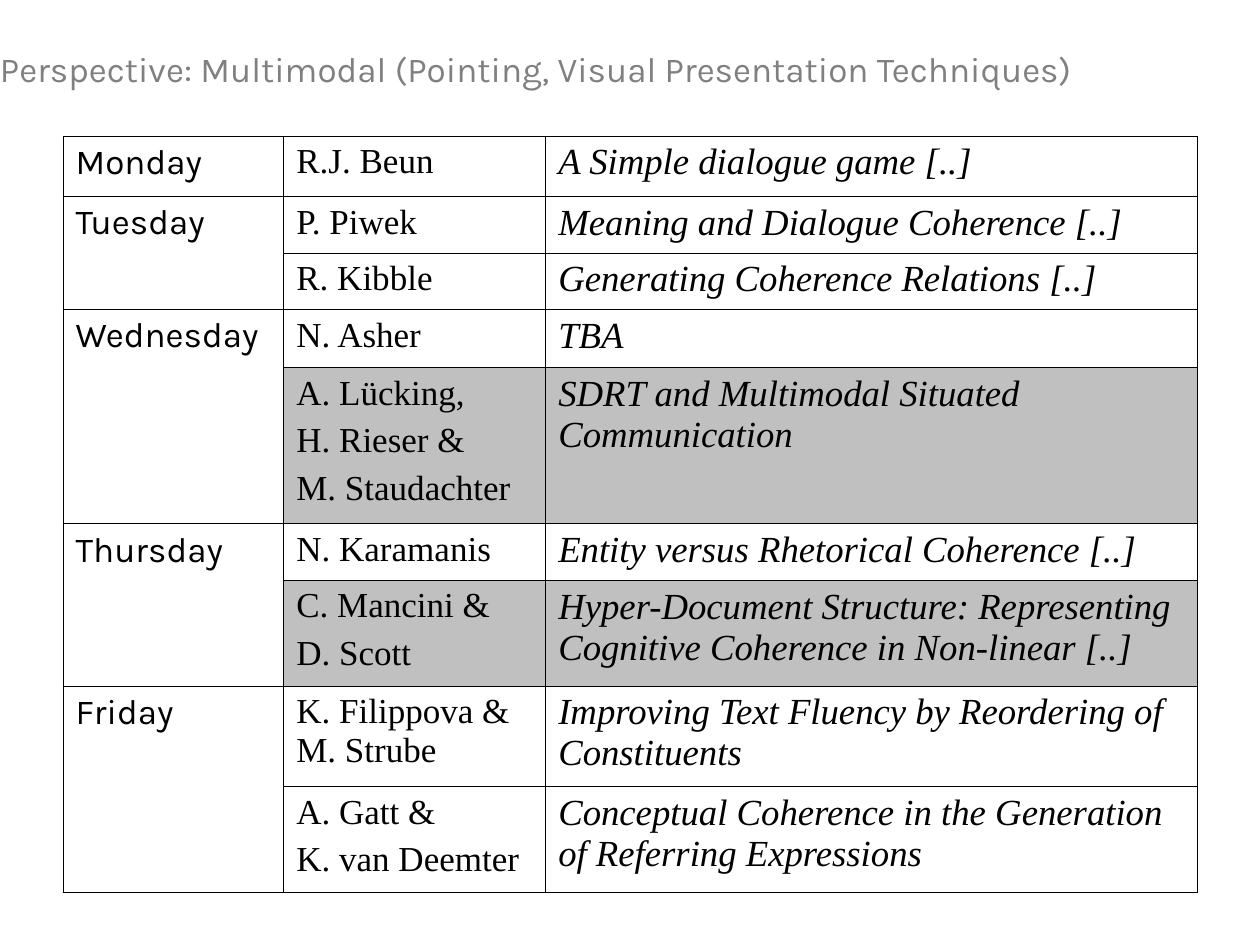
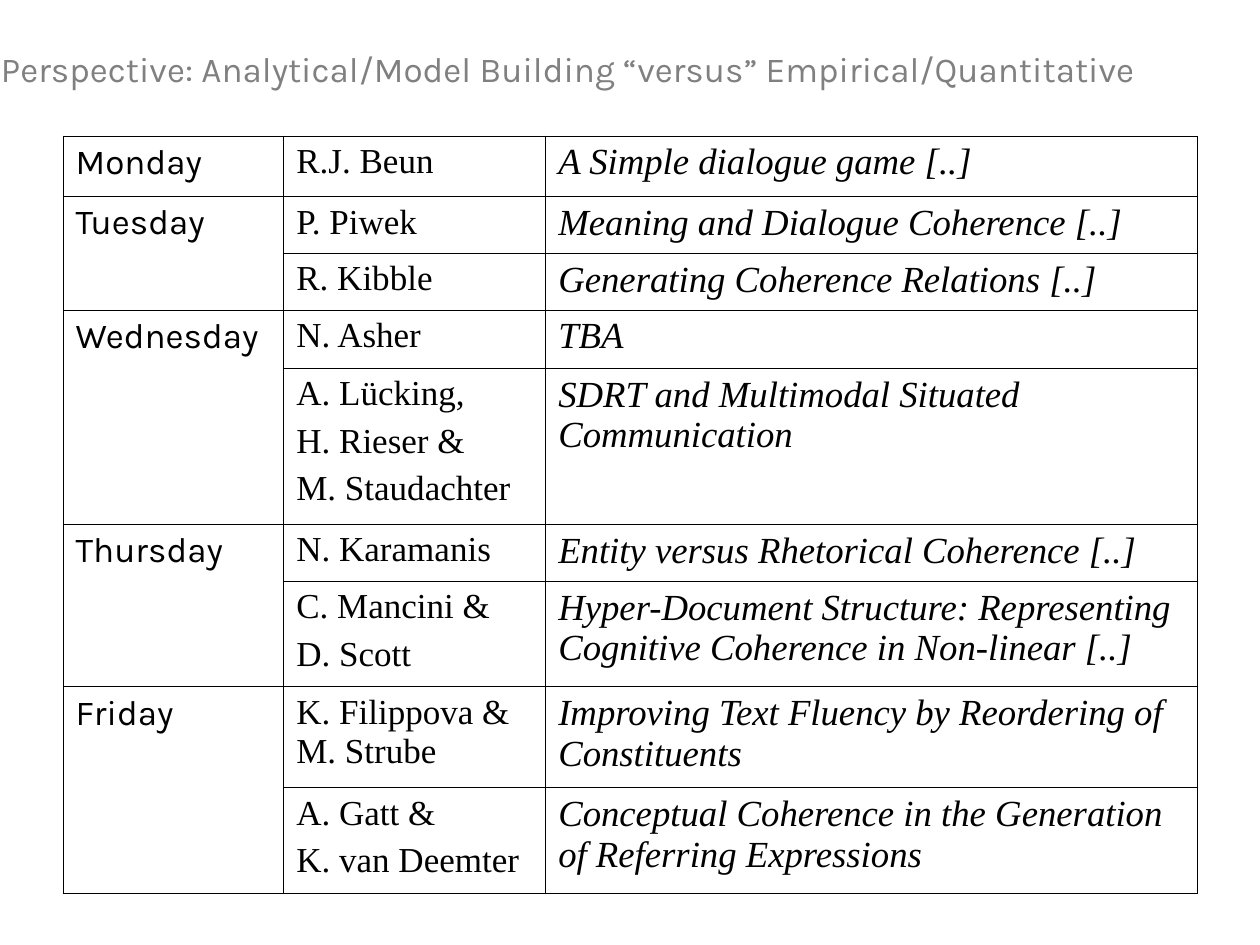
from lxml.etree import SubElement as Sub
from pptx import Presentation
from pptx.dml.color import RGBColor
from pptx.enum.text import MSO_AUTO_SIZE as Auto
from pptx.oxml.ns import qn
from pptx.util import Cm, Pt

# Content: title, its left and width (cm), speakers to shade
SLIDES = [
    ("Perspective: Multimodal (Pointing, Visual Presentation Techniques)",
     -0.25, 22.63, ("A. Lücking,", "C. Mancini &")),
    ("Perspective: Analytical/Model Building “versus” Empirical/Quantitative",
     -0.23, 23.65, ()),
]

# Day, then its talks: row height (cm), speakers by line, topic
DAYS = [
    ("Monday", [
        (1.22, ["R.J. Beun"], "A Simple dialogue game [..]")]),
    ("Tuesday", [
        (1.14, ["P. Piwek"], "Meaning and Dialogue Coherence [..]"),
        (1.14, ["R. Kibble"], "Generating Coherence Relations [..]")]),
    ("Wednesday", [
        (1.17, ["N. Asher"], "TBA"),
        (3.15, ["A. Lücking,", "H. Rieser &", "M. Staudachter"],
         "SDRT and Multimodal Situated Communication")]),
    ("Thursday", [
        (1.14, ["N. Karamanis"], "Entity versus Rhetorical Coherence [..]"),
        (2.13, ["C. Mancini &", "D. Scott"],
         "Hyper-Document Structure: Representing "
         "Cognitive Coherence in Non-linear [..]")]),
    ("Friday", [
        (2.03, ["K. Filippova & M. Strube"],
         "Improving Text Fluency by Reordering of Constituents"),
        (2.13, ["A. Gatt &", "K. van Deemter"],
         "Conceptual Coherence in the Generation of Referring Expressions")]),
]

# Shared look
SANS, SERIF = "Karla", "Times New Roman"
BLACK, GREY, SHADE = "000000", "808080", "C0C0C0"
WIDTHS = [4.45, 5.28, 13.13]


def rgb(color):
    return RGBColor.from_string(color)


def write(frame, lines, face, size=20, color=BLACK, italic=False, gap=0):
    frame.text = "\n".join(lines)
    for para in frame.paragraphs:
        font = para.font
        font.name, font.size, font.italic = face, Pt(size), italic
        font.color.rgb = rgb(color)
        para.space_before = Pt(gap)


def frame_cell(cell):
    """Give a cell thin black borders on all four sides."""
    props = cell._tc.get_or_add_tcPr()
    for side in "LRTB":
        line = Sub(props, qn(f"a:ln{side}"), w=str(Pt(0.45)))
        Sub(Sub(line, qn("a:solidFill")), qn("a:srgbClr"), val=BLACK)


def add_title(slide, title, left, width):
    box = slide.shapes.add_textbox(Cm(left), Cm(0.84), Cm(width), Cm(1.12))
    frame = box.text_frame
    frame.word_wrap = False
    frame.auto_size = Auto.SHAPE_TO_FIT_TEXT
    write(frame, [title], SANS, color=GREY)


def add_plan(slide, shaded):
    talks = [talk for _, group in DAYS for talk in group]
    high = sum(talk[0] for talk in talks)
    table = slide.shapes.add_table(len(talks), len(WIDTHS), Cm(1.27), Cm(2.74),
                                   Cm(sum(WIDTHS)), Cm(high)).table
    table.first_row = table.horz_banding = False
    for col, width in zip(table.columns, WIDTHS):
        col.width = Cm(width)
    for cell in table.iter_cells():
        frame_cell(cell)
        cell.fill.background()

    # Speakers and topics
    for row, (height, names, topic) in enumerate(talks):
        table.rows[row].height = Cm(height)
        who, what = table.cell(row, 1), table.cell(row, 2)
        write(who.text_frame, names, SERIF, gap=5)
        write(what.text_frame, [topic], SERIF, 21, italic=True, gap=5.2)
        if names[0] in shaded:
            for cell in (who, what):
                cell.fill.solid()
                cell.fill.fore_color.rgb = rgb(SHADE)

    # Days, each as tall as its talks
    row = 0
    for day, group in DAYS:
        cell = table.cell(row, 0)
        last = row + len(group) - 1
        if last > row:
            cell.merge(table.cell(last, 0))
        write(cell.text_frame, [day], SANS)
        row = last + 1


def main():
    deck = Presentation()
    deck.slide_width, deck.slide_height = Cm(25.4), Cm(19.05)
    for title, left, width, shaded in SLIDES:
        slide = deck.slides.add_slide(deck.slide_layouts[6])
        add_plan(slide, shaded)
        add_title(slide, title, left, width)
    deck.save("out.pptx")


if __name__ == "__main__":
    main()
